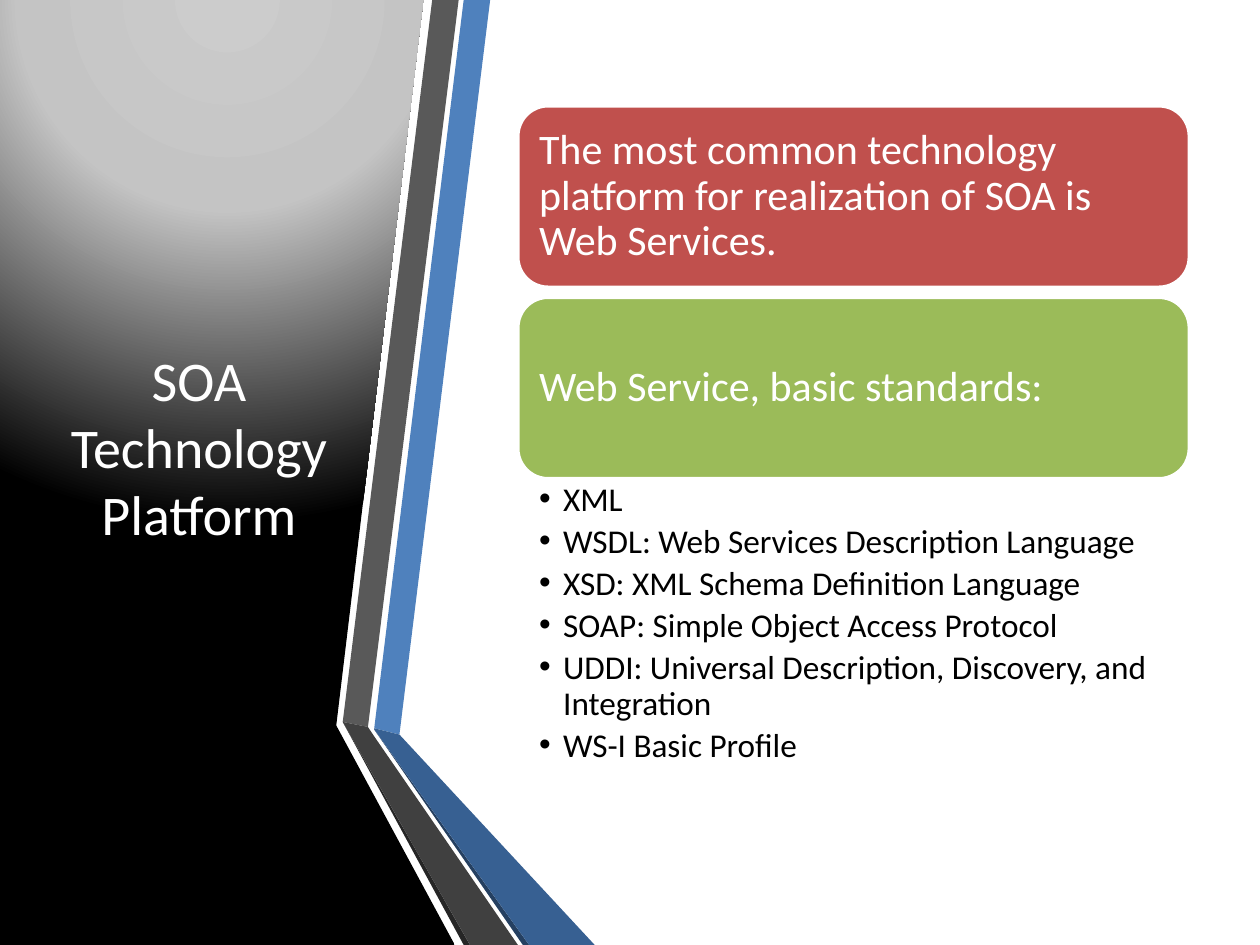
from lxml.etree import SubElement
from pptx import Presentation
from pptx.dml.color import RGBColor
from pptx.enum.shapes import MSO_SHAPE as Preset
from pptx.enum.text import MSO_ANCHOR as Anchor, PP_ALIGN as Align
from pptx.oxml import parse_xml
from pptx.oxml.ns import nsdecls, qn
from pptx.util import Emu, Pt

SCALE = 9144
FONT = "Calibri"
WHITE = RGBColor(0xFF, 0xFF, 0xFF)
BLACK = RGBColor(0x00, 0x00, 0x00)
RED = RGBColor(0xC0, 0x50, 0x4D)
GREEN = RGBColor(0x9B, 0xBB, 0x59)
BLUE = RGBColor(0x4F, 0x81, 0xBD)
MID_BLUE = RGBColor(0x37, 0x60, 0x92)
DARK_BLUE = RGBColor(0x25, 0x40, 0x61)
GRAY = RGBColor(0x59, 0x59, 0x59)
MID_GRAY = RGBColor(0x40, 0x40, 0x40)
DARK_GRAY = RGBColor(0x26, 0x26, 0x26)
LIGHT_GRAY = RGBColor(0xCC, 0xCC, 0xCC)
SOFT_GRAY = RGBColor(0xC4, 0xC4, 0xC4)

PANEL = [(0, 0), (336, 0), (267, 575), (267, 576), (361, 750), (0, 750)]
PANEL_STOPS = [(0, LIGHT_GRAY), (40, SOFT_GRAY), (100, BLACK)]
RIBBONS = [
    (BLUE, [(297, 578), (317, 583), (389, 0), (368, 0)]),
    (GRAY, [(364, 0), (343, 0), (272, 573), (292, 577)]),
    (DARK_GRAY, [(272, 573), (368, 750), (373, 750)]),
    (DARK_BLUE, [(297, 579), (415, 750), (420, 750)]),
    (MID_BLUE, [(297, 579), (420, 750), (472, 750), (317, 583), (297, 578)]),
    (MID_GRAY, [(411, 750), (296, 583), (292, 577), (272, 573), (373, 750)]),
]
CARDS = [
    (RED, "The most common technology platform for realization of SOA is Web Services."),
    (GREEN, "Web Service, basic standards:"),
]
STANDARDS = [
    "XML",
    "WSDL: Web Services Description Language",
    "XSD: XML Schema Definition Language",
    "SOAP: Simple Object Access Protocol",
    "UDDI: Universal Description, Discovery, and Integration",
    "WS-I Basic Profile",
]


def px(length):
    """Turn px into EMU."""
    return Emu(length * SCALE)


def place(shape, left, top, width, height):
    """Move and size a shape."""
    shape.left, shape.top = px(left), px(top)
    shape.width, shape.height = px(width), px(height)


def write_text(shape, *lines, size, color, align=Align.LEFT, anchor=Anchor.MIDDLE,
               insets=(10, 5, 10, 5), spacing=1.0, after=0, bullet_indent=0):
    """Fill a shape with one formatted paragraph for each line."""
    frame = shape.text_frame
    frame.word_wrap = True
    frame.vertical_anchor = anchor
    frame.margin_left, frame.margin_top, frame.margin_right, frame.margin_bottom = map(px, insets)
    for index, line in enumerate(lines):
        paragraph = frame.add_paragraph() if index else frame.paragraphs[0]
        paragraph.text = line
        paragraph.alignment = align
        paragraph.line_spacing = spacing
        paragraph.space_after = Pt(after)
        if bullet_indent:
            properties = paragraph._p.get_or_add_pPr()
            properties.set("marL", str(px(bullet_indent)))
            properties.set("indent", str(px(-bullet_indent)))
            SubElement(properties, qn("a:buFont"), typeface="Arial")
            SubElement(properties, qn("a:buChar"), char="•")
        font = paragraph.font
        font.name, font.size = FONT, Pt(size)
        font.color.rgb = color


def add_outline(shapes, points, left, top):
    """Draw a closed, unlined freeform offset from the given corner."""
    (start_x, start_y), *rest = [(left + x, top + y) for x, y in points]
    builder = shapes.build_freeform(start_x, start_y, scale=SCALE)
    builder.add_line_segments(rest, close=True)
    shape = builder.convert_to_shape()
    shape.shadow.inherit = False
    shape.line.fill.background()
    return shape


def set_radial_fill(shape, stops):
    """Give a shape a circular gradient centred above its top edge."""
    shape.fill.background()
    stop_xml = "".join(
        f'<a:gs pos="{position * 1000}"><a:srgbClr val="{color}"/></a:gs>'
        for position, color in stops)
    gradient = parse_xml(
        f'<a:gradFill {nsdecls("a")} rotWithShape="1"><a:gsLst>{stop_xml}</a:gsLst>'
        '<a:path path="circle"><a:fillToRect l="50000" t="-80000" r="50000" b="180000"/>'
        '</a:path></a:gradFill>')
    properties = shape.element.spPr
    properties.replace(properties.find(qn("a:noFill")), gradient)


def add_title_panel(slide, left, top):
    """Draw the dark panel, its folded ribbons and the title."""
    panel = add_outline(slide.shapes, PANEL, left, top)
    set_radial_fill(panel, PANEL_STOPS)
    group = slide.shapes.add_group_shape()
    for color, points in RIBBONS:
        ribbon = add_outline(group.shapes, points, left, top)
        ribbon.fill.solid()
        ribbon.fill.fore_color.rgb = color
    title = slide.shapes.title
    group.element.addnext(title.element)
    place(title, left + 44, top + 75, 228, 558)
    write_text(title, "SOA Technology Platform", size=32, color=WHITE, align=Align.CENTER)


def add_content(slide, left, top, width):
    """Stack the coloured cards and the list of standards."""
    card_height, pitch = 144, 152
    for index, (color, text) in enumerate(CARDS):
        card = slide.shapes.add_shape(Preset.ROUNDED_RECTANGLE, 0, 0, 0, 0)
        place(card, left, top + index * pitch, width, card_height)
        card.shadow.inherit = False
        card.fill.solid()
        card.fill.fore_color.rgb = color
        card.line.color.rgb = WHITE
        card.line.width = Pt(2)
        write_text(card, text, size=24, color=WHITE, insets=(10, 10, 10, 10), spacing=0.9)
    standards = slide.shapes.add_textbox(0, 0, 0, 0)
    place(standards, left, top + pitch + card_height, width, 244)
    write_text(standards, *STANDARDS, size=19, color=BLACK, anchor=Anchor.TOP,
               insets=(17, 3, 19, 3), spacing=0.9, after=3.5, bullet_indent=19)


def main():
    """Build and save the presentation."""
    presentation = Presentation()
    presentation.slide_width, presentation.slide_height = px(1000), px(750)
    slide = presentation.slides.add_slide(presentation.slide_layouts[5])
    add_title_panel(slide, 0, 0)
    add_content(slide, 411, 84, 533)
    presentation.save("out.pptx")


if __name__ == "__main__":
    main()
